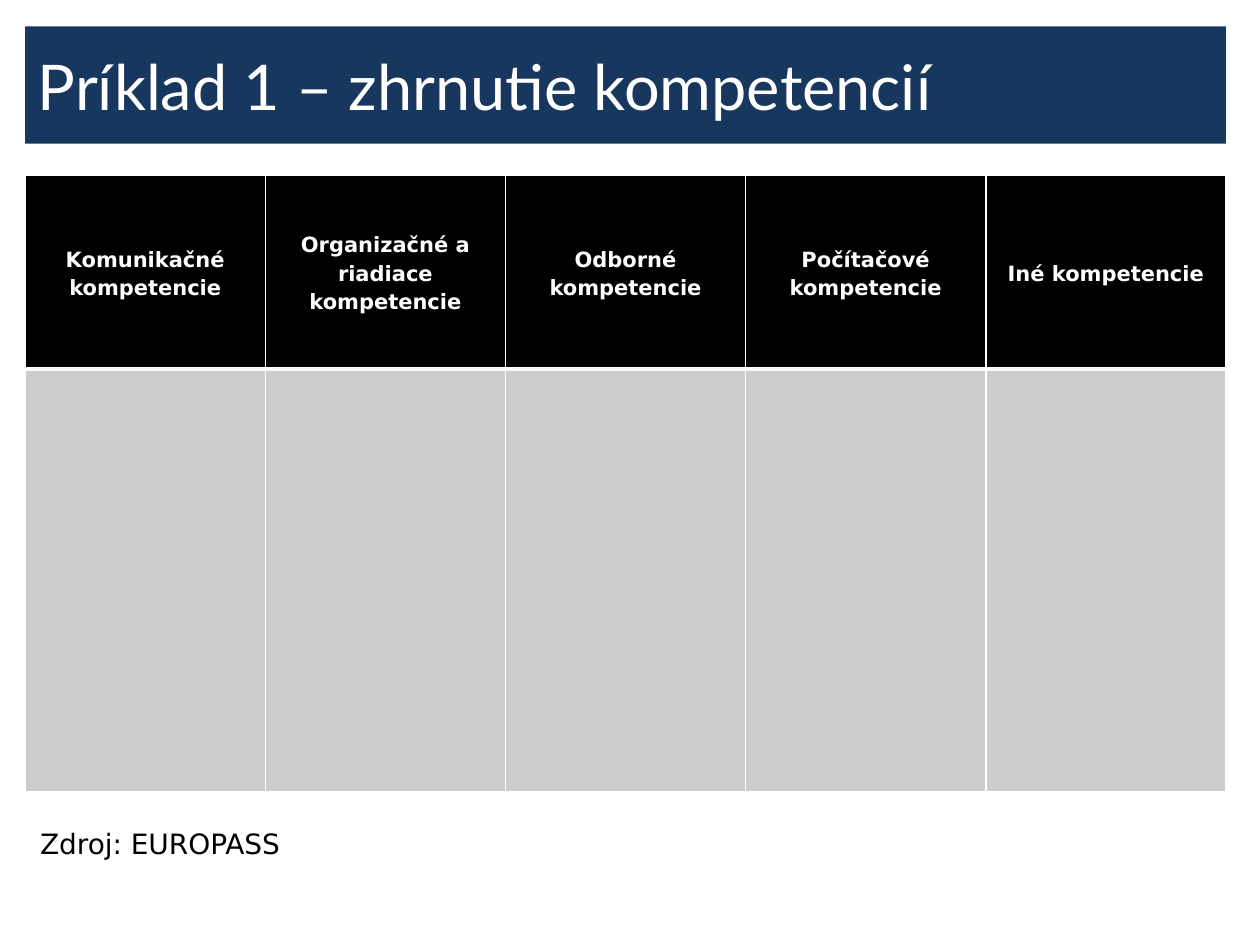
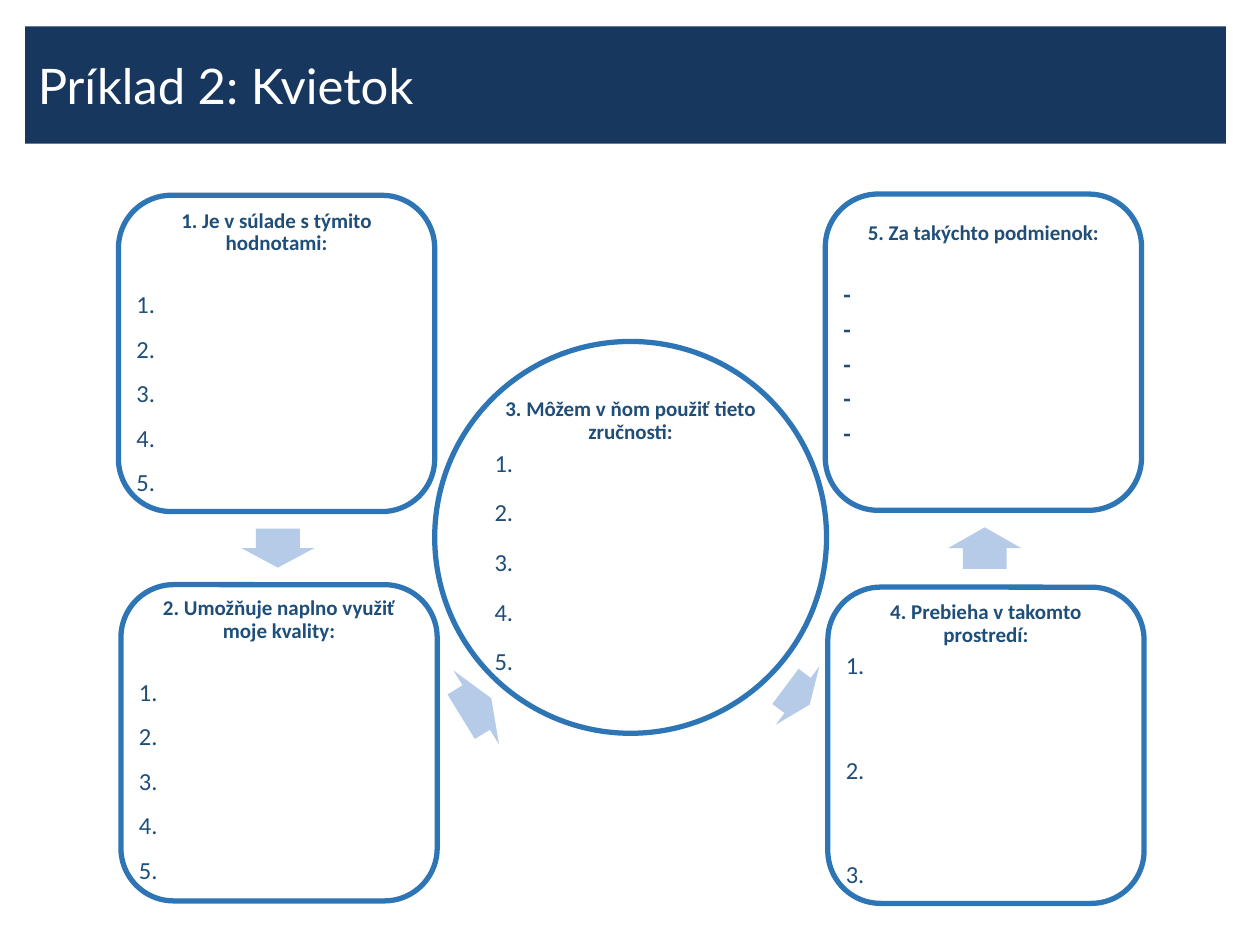
from typing import NamedTuple

import lxml.etree
import pptx
import pptx.dml.color
import pptx.enum.shapes
import pptx.enum.text
import pptx.oxml.ns
import pptx.util

COLORS = {
    "band": "17375E",
    "white": "FFFFFF",
    "black": "000000",
    "body": "CCCCCC",
    "outline": "2E75B6",
    "ink": "1F4E79",
    "arrow": "B5CBE7",
}

SLIDE_W = pptx.util.Inches(10)
SLIDE_H = pptx.util.Inches(7.5)
GRID_COLS, GRID_ROWS = 100, 75

SHAPE = pptx.enum.shapes.MSO_SHAPE
ALIGN = pptx.enum.text.PP_ALIGN
MIDDLE = pptx.enum.text.MSO_ANCHOR.MIDDLE


class Box(NamedTuple):
    """A place on the slide, in grid columns and rows."""
    col: float
    row: float
    cols: float
    rows: float

    def emu(self) -> tuple[int, int, int, int]:
        return (cols(self.col), rows(self.row), cols(self.cols), rows(self.rows))


class Petal(NamedTuple):
    """A question with a short list; gaps are points above the first and later items."""
    box: Box
    question: str
    items: list[str]
    first_gap: float
    item_gap: float
    bold_items: bool = False
    bottom_inset: float = 0.2
    shape: int = SHAPE.ROUNDED_RECTANGLE


class Arrow(NamedTuple):
    box: Box
    rotation: float


TITLE_BAND = Box(2, 2.1, 95.3, 9.3)
TABLE_BOX = Box(2, 13.9, 95.3, 48.9)
SOURCE_BOX = Box(2.2, 65.1, 22.2, 3.7)
HEADER_ROWS = 15.4

HEADERS = [
    "Komunikačné kompetencie",
    "Organizačné a riadiace kompetencie",
    "Odborné kompetencie",
    "Počítačové kompetencie",
    "Iné kompetencie",
]

SIDE = 25.1
NUMBERS = [f"{n}." for n in range(1, 6)]
PETALS = [
    Petal(Box(65.5, 15.4, SIDE, SIDE), "5. Za takýchto podmienok:",
          ["-"] * 5, 21.3, 4.75, bold_items=True, bottom_inset=2.9),
    Petal(Box(65.7, 46.6, SIDE, SIDE), "4. Prebieha v takomto prostredí:",
          NUMBERS[:3], 4.1, 44.6),
    Petal(Box(34.5, 27.1, 31.1, 31.1), "3. Môžem v ňom použiť tieto zručnosti:",
          NUMBERS, 4.1, 13.2, shape=SHAPE.OVAL),
    Petal(Box(9.6, 46.4, SIDE, SIDE), "2. Umožňuje naplno využiť moje kvality:",
          NUMBERS, 21.3, 10.3, bottom_inset=0.5),
    Petal(Box(9.4, 15.5, SIDE, SIDE), "1. Je v súlade s týmito hodnotami:",
          NUMBERS, 21.3, 10.3),
]
ARROWS = [
    Arrow(Box(76.5, 40.6, 3.3, 5.8), 270),
    Arrow(Box(62.1, 52.3, 2.4, 5.8), 36.7),
    Arrow(Box(36.4, 52.7, 2.8, 6.9), 328.4),
    Arrow(Box(20.5, 40.6, 3.1, 5.8), 90),
]


def cols(n: float) -> int:
    return round(SLIDE_W * n / GRID_COLS)


def rows(n: float) -> int:
    return round(SLIDE_H * n / GRID_ROWS)


def rgb(name: str) -> pptx.dml.color.RGBColor:
    return pptx.dml.color.RGBColor.from_string(COLORS[name])


def fill(target, color: str) -> None:
    target.fill.solid()
    target.fill.fore_color.rgb = rgb(color)


def style(p, font: str, size: float, color: str, bold: bool = False) -> None:
    p.font.name = font
    p.font.size = pptx.util.Pt(size)
    p.font.bold = bold
    p.font.color.rgb = rgb(color)


def add_titled_slide(prs, title: str, size: float):
    s = prs.slides.add_slide(prs.slide_layouts[5])
    sp = s.shapes.title
    sp.left, sp.top, sp.width, sp.height = TITLE_BAND.emu()
    fill(sp, "band")
    tf = sp.text_frame
    tf.text = title
    tf.auto_size = pptx.enum.text.MSO_AUTO_SIZE.NONE
    tf.vertical_anchor = MIDDLE
    p = tf.paragraphs[0]
    p.alignment = ALIGN.LEFT
    style(p, "Lato", size, "white")
    return s


def set_borders(cell, **widths: float) -> None:
    """Draw white borders; the keywords L, R, T and B give widths in points."""
    tc_pr = cell._tc.get_or_add_tcPr()
    for i, side in enumerate("LRTB"):
        ln = lxml.etree.Element(pptx.oxml.ns.qn(f"a:ln{side}"),
                                w=str(pptx.util.Pt(widths.get(side, 1))))
        solid = lxml.etree.SubElement(ln, pptx.oxml.ns.qn("a:solidFill"))
        lxml.etree.SubElement(solid, pptx.oxml.ns.qn("a:srgbClr"), val=COLORS["white"])
        tc_pr.insert(i, ln)


def add_competence_table(s) -> None:
    table = s.shapes.add_table(2, len(HEADERS), *TABLE_BOX.emu()).table
    table.rows[0].height = rows(HEADER_ROWS)
    table.rows[1].height = rows(TABLE_BOX.rows - HEADER_ROWS)
    for i, header in enumerate(HEADERS):
        table.columns[i].width = cols(TABLE_BOX.cols / len(HEADERS))
        head, body = table.cell(0, i), table.cell(1, i)
        fill(head, "black")
        fill(body, "body")
        set_borders(head, B=3)
        set_borders(body, T=3)
        head.text = header
        head.vertical_anchor = MIDDLE
        head.margin_left = head.margin_right = cols(0 if i else 0.8)
        head.margin_top = head.margin_bottom = rows(0 if i else 0.4)
        p = head.text_frame.paragraphs[0]
        p.alignment = ALIGN.CENTER
        p.line_spacing = 1.15
        style(p, "DejaVu Sans", 12, "white", bold=True)


def add_source(s, text: str) -> None:
    tf = s.shapes.add_textbox(*SOURCE_BOX.emu()).text_frame
    tf.word_wrap = False
    tf.auto_size = pptx.enum.text.MSO_AUTO_SIZE.SHAPE_TO_FIT_TEXT
    tf.text = text
    style(tf.paragraphs[0], "DejaVu Sans", 16, "black")


def add_petal(s, petal: Petal) -> None:
    sp = s.shapes.add_shape(petal.shape, *petal.box.emu())
    sp.shadow.inherit = False
    sp.fill.background()
    sp.line.color.rgb = rgb("outline")
    sp.line.width = pptx.util.Pt(3)
    tf = sp.text_frame
    tf.word_wrap = True
    tf.vertical_anchor = MIDDLE
    tf.margin_left = tf.margin_right = cols(0.2)
    tf.margin_top, tf.margin_bottom = rows(0.2), rows(petal.bottom_inset)
    tf.text = "\n".join([petal.question, *petal.items])
    for i, p in enumerate(tf.paragraphs):
        p.line_spacing = 0.9
        if i == 0:
            p.alignment = ALIGN.CENTER
            style(p, "Calibri", 12, "ink", bold=True)
        else:
            p.alignment = ALIGN.LEFT
            p.space_before = pptx.util.Pt(petal.first_gap if i == 1 else petal.item_gap)
            style(p, "Calibri", 14, "ink", bold=petal.bold_items)


def add_arrow(s, arrow: Arrow) -> None:
    sp = s.shapes.add_shape(SHAPE.RIGHT_ARROW, *arrow.box.emu())
    sp.shadow.inherit = False
    sp.adjustments[0], sp.adjustments[1] = 0.6, 0.5
    sp.rotation = arrow.rotation
    fill(sp, "arrow")
    sp.line.fill.background()


def main() -> None:
    prs = pptx.Presentation()
    prs.slide_width, prs.slide_height = SLIDE_W, SLIDE_H

    s = add_titled_slide(prs, "Príklad 1 – zhrnutie kompetencií", 36)
    add_competence_table(s)
    add_source(s, "Zdroj: EUROPASS")

    s = add_titled_slide(prs, "Príklad 2: Kvietok", 28)
    for petal in PETALS:
        add_petal(s, petal)
    for arrow in ARROWS:
        add_arrow(s, arrow)

    prs.save("out.pptx")


if __name__ == "__main__":
    main()
